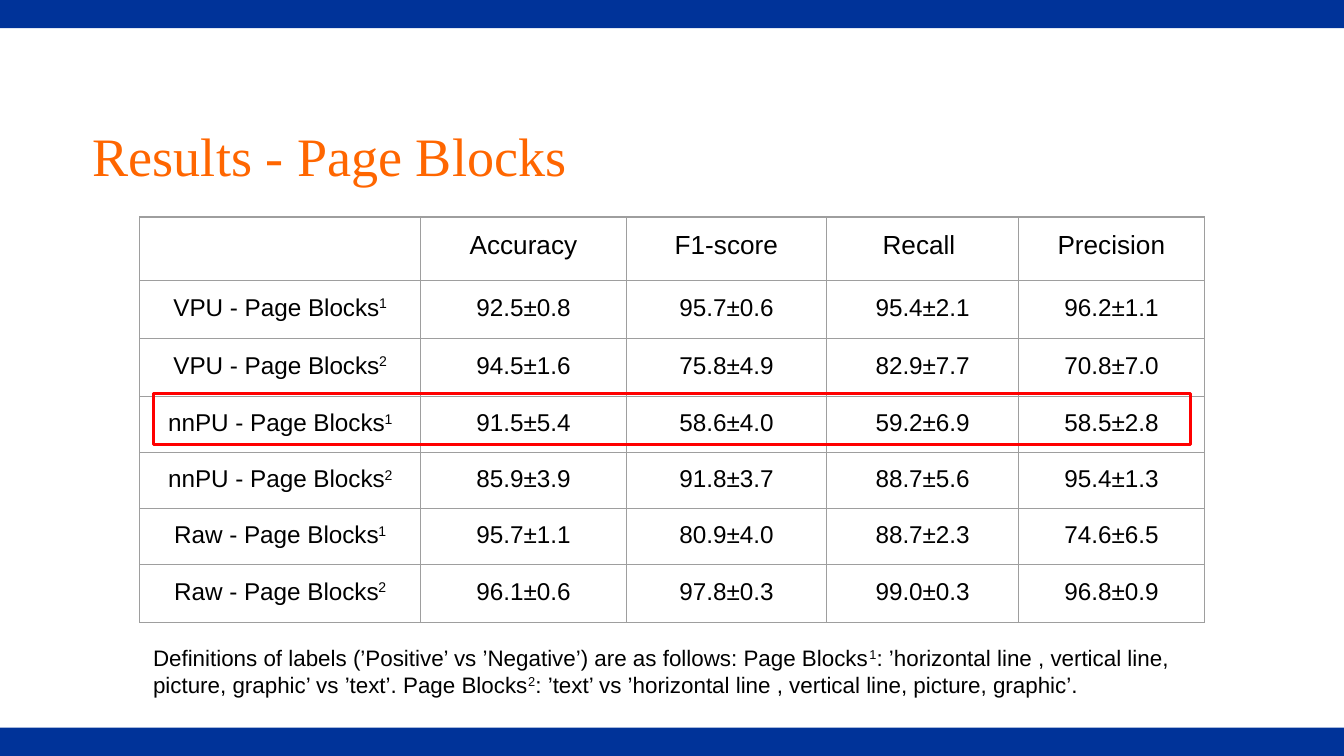
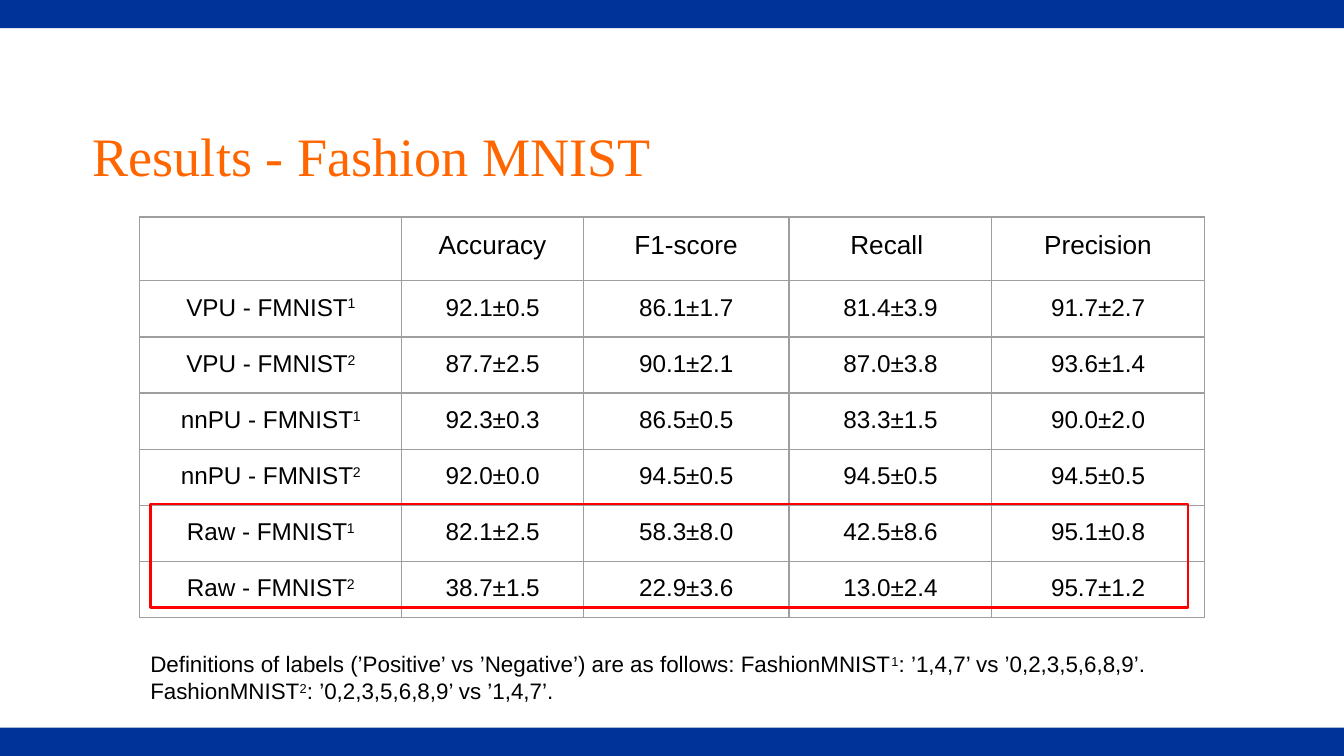
from itertools import product
from lxml import etree
from pptx import Presentation, util as u
from pptx.dml.color import RGBColor
from pptx.enum import shapes, text
from pptx.oxml.ns import qn

PX = 4572  # EMU in one px, 200 px to the inch
WIDE, TALL, BAND, PAD = 2000, 1125, 42, 20
BLUE, ORANGE, RED, GREY, BLACK = "003399", "FF6600", "FF0000", "9E9E9E", "000000"
SIDES = ("left", "right", "top", "bottom")
HEAD = ["Accuracy", "F1-score", "Recall ", "Precision"]
KINDS = list(product(["VPU", "nnPU", "Raw"], "12"))

# Each ^ raises the one character after it
PAGES = [
    dict(
        title="Results - Page Blocks", data="Page Blocks",
        cols=[418, 306, 298, 286, 276], rows=[95, 86, 86, 83, 83, 83, 86],
        vals=[
            "92.5±0.8 95.7±0.6 95.4±2.1 96.2±1.1",
            "94.5±1.6 75.8±4.9 82.9±7.7 70.8±7.0",
            "91.5±5.4 58.6±4.0 59.2±6.9 58.5±2.8",
            "85.9±3.9 91.8±3.7 88.7±5.6 95.4±1.3",
            "95.7±1.1 80.9±4.0 88.7±2.3 74.6±6.5",
            "96.1±0.6 97.8±0.3 99.0±0.3 96.8±0.9",
        ],
        note="Definitions of labels (’Positive’ vs ’Negative’) are as follows: "
             "Page Blocks^1: ’horizontal line , vertical line, picture, graphic’ vs ’text’. "
             "Page Blocks^2: ’text’ vs ’horizontal line , vertical line, picture, graphic’.",
        spot=(208, 938, 1584, 122), frame=(228, 586, 1544, 76),
    ),
    dict(
        title="Results - Fashion MNIST", data="FMNIST",
        cols=[390, 270, 306, 302, 316], rows=[95] + [83] * 6,
        vals=[
            "92.1±0.5 86.1±1.7 81.4±3.9 91.7±2.7",
            "87.7±2.5 90.1±2.1 87.0±3.8 93.6±1.4",
            "92.3±0.3 86.5±0.5 83.3±1.5 90.0±2.0",
            "92.0±0.0 94.5±0.5 94.5±0.5 94.5±0.5",
            "82.1±2.5 58.3±8.0 42.5±8.6 95.1±0.8",
            "38.7±1.5 22.9±3.6 13.0±2.4 95.7±1.2",
        ],
        note="Definitions of labels (’Positive’ vs ’Negative’) are as follows: "
             "FashionMNIST^1: ’1,4,7’ vs ’0,2,3,5,6,8,9’. "
             "FashionMNIST^2: ’0,2,3,5,6,8,9’ vs ’1,4,7’.",
        spot=(204, 948, 1592, 122), frame=(224, 750, 1544, 154),
    ),
]


def rgb(code):
    return RGBColor.from_string(code)


def write(para, words, size, face="Arial", tint=BLACK):
    first, *rest = words.split("^")
    runs = [(first, False)]
    for part in rest:
        runs += [(part[0], True), (part[1:], False)]
    for words, high in runs:
        if not words:
            continue
        run = para.add_run()
        run.text = words
        for key, val in dict(size=u.Pt(size), name=face).items():
            setattr(run.font, key, val)
        run.font.color.rgb = rgb(tint)
        if high:
            run.font._element.set("baseline", "30000")
    # The end mark sets the line height of an empty cell
    etree.SubElement(para._p, qn("a:endParaRPr"), sz=str(size * 100))


deck = Presentation()
deck.slide_width, deck.slide_height = WIDE * PX, TALL * PX

for page in PAGES:
    slide = deck.slides.add_slide(deck.slide_layouts[6])

    # Bands
    for top in (TALL - BAND, 0):
        band = slide.shapes.add_shape(
            shapes.MSO_SHAPE.RECTANGLE, 0, top * PX, WIDE * PX, BAND * PX)
        band.shadow.inherit = False
        band.fill.solid()
        band.fill.fore_color.rgb = rgb(BLUE)
        band.line.fill.background()

    # Title
    box = slide.shapes.add_textbox(*(n * PX for n in (120, 136, 1426, 188)))
    form = dict(word_wrap=True, vertical_anchor=text.MSO_ANCHOR.MIDDLE,
                margin_left=18 * PX, margin_right=18 * PX)
    for key, val in form.items():
        setattr(box.text_frame, key, val)
    write(box.text_frame.paragraphs[0], page["title"], 29, "Times New Roman", ORANGE)

    # Table of scores
    cols, rows = page["cols"], page["rows"]
    grid = slide.shapes.add_table(
        len(rows), len(cols), 208 * PX, 323 * PX, sum(cols) * PX, sum(rows) * PX).table
    grid.first_row = grid.horz_banding = False
    for col, wide in zip(grid.columns, cols):
        col.width = wide * PX
    for row, tall in zip(grid.rows, rows):
        row.height = tall * PX

    lines = [[""] + HEAD]
    for (kind, mark), vals in zip(KINDS, page["vals"]):
        lines.append([f"{kind} - {page['data']}^{mark}"] + vals.split())

    for r, line in enumerate(lines):
        for c, words in enumerate(line):
            cell = grid.cell(r, c)
            for side in SIDES:
                setattr(cell, f"margin_{side}", PAD * PX)
            props = cell._tc.get_or_add_tcPr()
            for side in "LRTB":
                edge = etree.SubElement(props, qn(f"a:ln{side}"), w=str(u.Pt(0.75)))
                fill = etree.SubElement(edge, qn("a:solidFill"))
                etree.SubElement(fill, qn("a:srgbClr"), val=GREY)
            cell.fill.background()
            para = cell.text_frame.paragraphs[0]
            para.alignment = text.PP_ALIGN.CENTER
            write(para, words, 13 if r else 14)

    # Note on the labels
    box = slide.shapes.add_textbox(*(n * PX for n in page["spot"]))
    form = dict(word_wrap=True, auto_size=text.MSO_AUTO_SIZE.SHAPE_TO_FIT_TEXT)
    form.update({f"margin_{side}": PAD * PX for side in SIDES})
    for key, val in form.items():
        setattr(box.text_frame, key, val)
    write(box.text_frame.paragraphs[0], page["note"], 12)

    # Red frame round the weak scores
    frame = slide.shapes.add_shape(
        shapes.MSO_SHAPE.RECTANGLE, *(n * PX for n in page["frame"]))
    frame.shadow.inherit = False
    frame.fill.background()
    frame.line.color.rgb = rgb(RED)
    frame.line.width = u.Pt(1.5)

deck.save("out.pptx")
